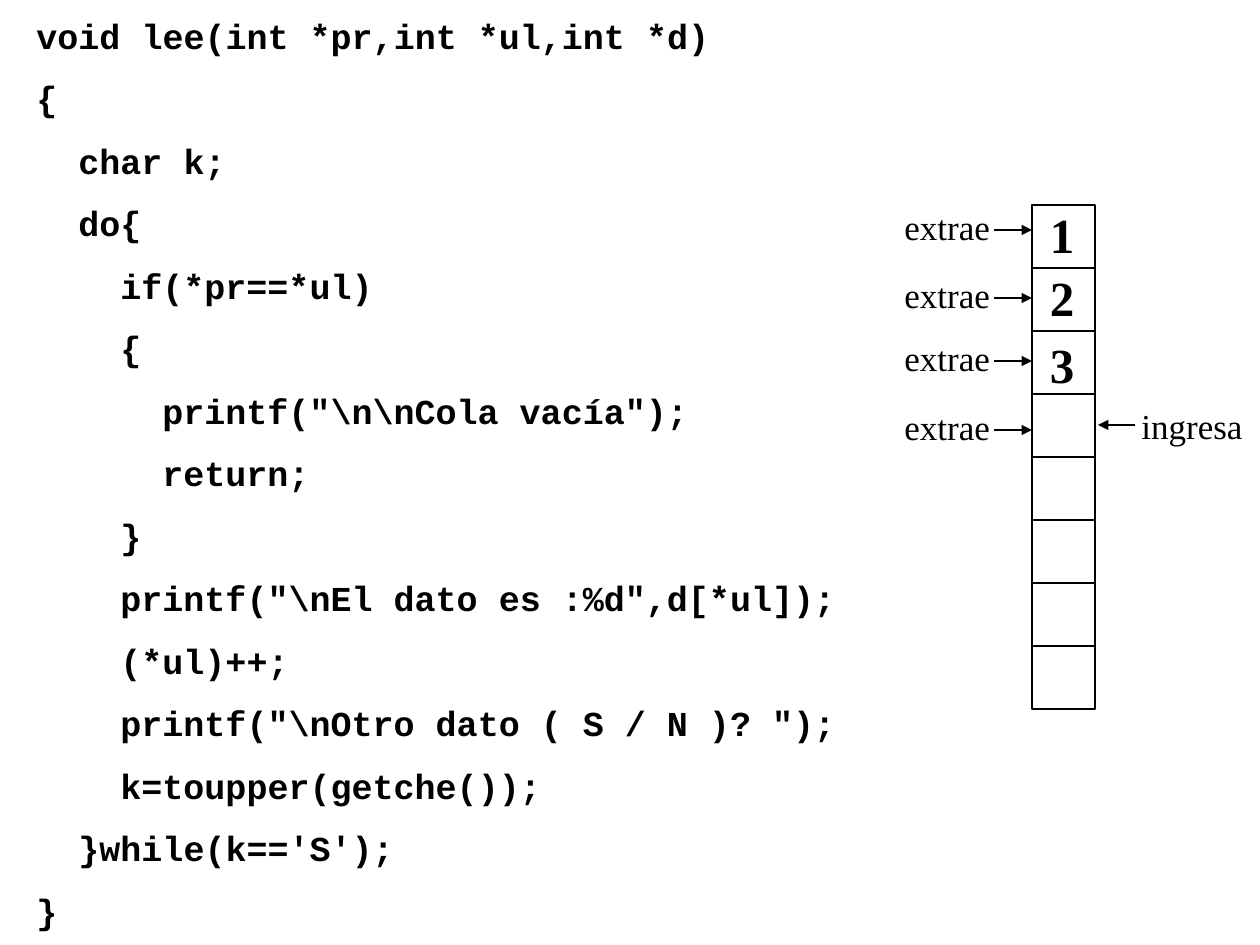
import pptx
import pptx.dml.color
import pptx.enum.shapes
import pptx.enum.text
import pptx.oxml.ns
import pptx.util
from lxml import etree

SHAPES = pptx.enum.shapes
TEXT = pptx.enum.text


def px(n):
    return pptx.util.Emu(round(n * 914400 / 126))


def rgb(color):
    return pptx.dml.color.RGBColor.from_string(color)


class QueueSlide:
    serif = "Times New Roman"
    mono = "Courier New"
    ink = "000000"
    paper = "FFFFFF"
    stroke = 0.75
    char_width = 21
    padding = 13

    def __init__(self, prs):
        self.s = prs.slides.add_slide(prs.slide_layouts[6])

    def rect(self, left, top, width, height, outlined=False):
        sp = self.s.shapes.add_shape(
            SHAPES.MSO_SHAPE.RECTANGLE, px(left), px(top), px(width), px(height))
        sp.shadow.inherit = False
        sp.fill.solid()
        sp.fill.fore_color.rgb = rgb(self.paper)
        if outlined:
            sp.line.color.rgb = rgb(self.ink)
            sp.line.width = pptx.util.Pt(self.stroke)
        else:
            sp.line.fill.background()
        return sp

    def set_text(self, sp, text, font, size, bold):
        p = sp.text_frame.paragraphs[0]
        p.text = text
        p.font.name = font
        p.font.size = pptx.util.Pt(size)
        p.font.bold = bold
        p.font.color.rgb = rgb(self.ink)
        return p

    def cell(self, left, top, size):
        self.rect(left, top, size, size, outlined=True)

    def label(self, text, left, top, width):
        sp = self.rect(left, top, width, 38)
        sp.text_frame.vertical_anchor = TEXT.MSO_ANCHOR.TOP
        p = self.set_text(sp, text, self.serif, 20, False)
        p.alignment = TEXT.PP_ALIGN.LEFT

    def digit(self, text, left, top):
        sp = self.rect(left, top, 38, 38)
        tf = sp.text_frame
        tf.margin_left = tf.margin_right = tf.margin_top = tf.margin_bottom = 0
        tf.vertical_anchor = TEXT.MSO_ANCHOR.MIDDLE
        p = self.set_text(sp, text, self.serif, 28, True)
        p.alignment = TEXT.PP_ALIGN.CENTER

    def arrow(self, start, end, y):
        cxn = self.s.shapes.add_connector(
            SHAPES.MSO_CONNECTOR.STRAIGHT, px(start), px(y), px(end), px(y))
        cxn.line.color.rgb = rgb(self.ink)
        cxn.line.width = pptx.util.Pt(self.stroke)
        sp_pr = cxn._element.spPr
        ln = sp_pr.find(pptx.oxml.ns.qn("a:ln"))
        etree.SubElement(ln, pptx.oxml.ns.qn("a:tailEnd"), type="triangle")
        etree.SubElement(sp_pr, pptx.oxml.ns.qn("a:effectLst"))

    def code(self, text, depth, left, top):
        indent = 2 * depth * self.char_width
        width = indent + len(text) * self.char_width + 2 * self.padding + 4
        sp = self.s.shapes.add_textbox(px(left), px(top), px(width), px(55))
        sp.text_frame.word_wrap = True
        p = self.set_text(sp, text, self.mono, 20, True)
        p._p.get_or_add_pPr().set("marL", str(px(indent)))


CODE = [
    (0, "void lee(int *pr,int *ul,int *d)"),
    (0, "{"),
    (1, "char k;"),
    (1, "do{"),
    (2, "if(*pr==*ul)"),
    (2, "{"),
    (3, r'printf("\n\nCola vacía");'),
    (3, "return;"),
    (2, "}"),
    (2, r'printf("\nEl dato es :%d",d[*ul]);'),
    (2, "(*ul)++;"),
    (2, r'printf("\nOtro dato ( S / N )? ");'),
    (2, "k=toupper(getche());"),
    (1, "}while(k=='S');"),
    (0, "}"),
]


def main():
    prs = pptx.Presentation()
    prs.slide_width, prs.slide_height = px(1260), px(945)
    slide = QueueSlide(prs)

    queue_left, queue_top, cell_size = 1032, 205, 63
    for i in range(8):
        slide.cell(queue_left, queue_top + i * cell_size, cell_size)

    slide.label("ingresa", 1129, 398, 130)
    slide.arrow(1135, 1098, 425)

    for top in (199, 267, 330, 399):
        slide.label("extrae", 892, top, 116)
        slide.arrow(994, queue_left, top + 31)

    for text, top in (("1", 215), ("2", 278), ("3", 345)):
        slide.digit(text, 1043, top)

    for i, (depth, text) in enumerate(CODE):
        slide.code(text, depth, 24, 8 + i * 125 // 2)

    prs.save("out.pptx")


if __name__ == "__main__":
    main()
